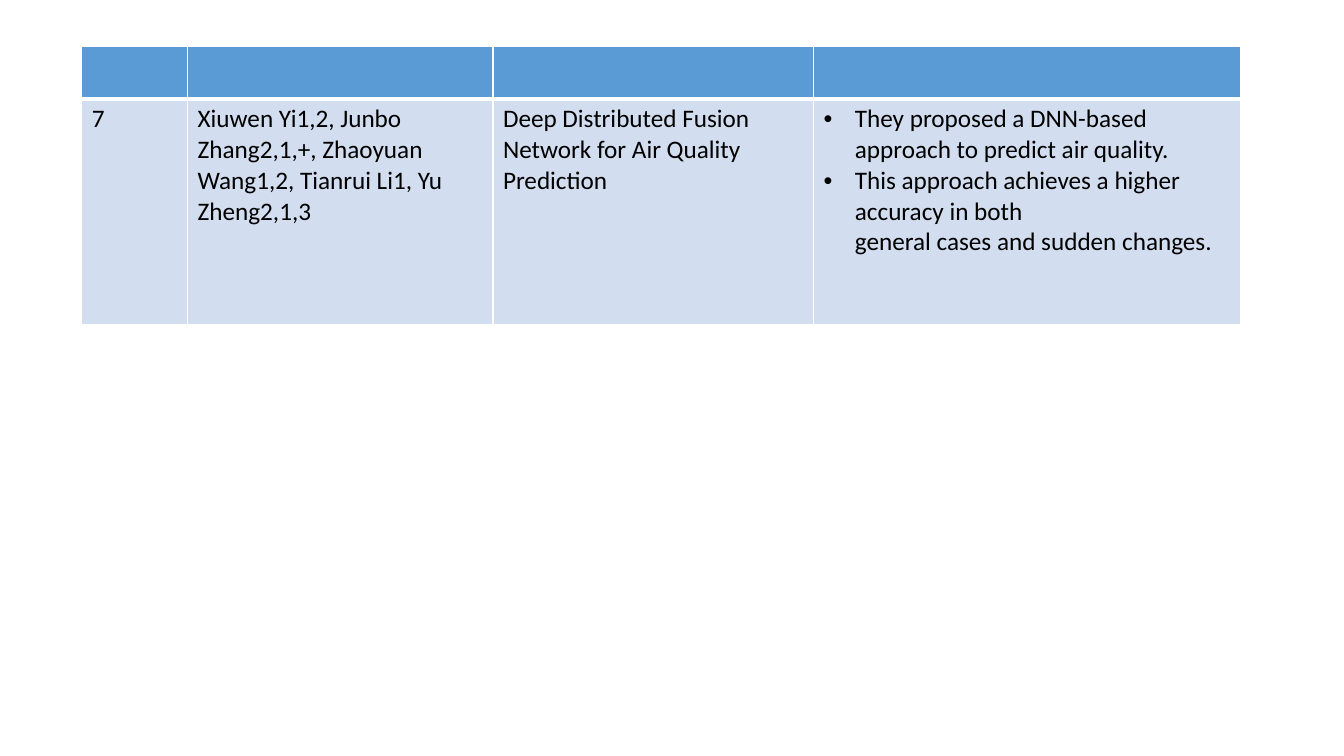
from lxml import etree
from pptx import Presentation
from pptx import util as u
from pptx.dml.color import RGBColor
from pptx.oxml import ns

WHITE = RGBColor(0xFF, 0xFF, 0xFF)
BLACK = RGBColor(0, 0, 0)
HEADER_BLUE = RGBColor(0x5B, 0x9B, 0xD5)
ROW_BLUE = RGBColor(0xD2, 0xDE, 0xEF)

COL_SHARES = (1.05, 3.03, 3.18, 4.24)
HEADER_HEIGHT = u.Cm(1.32)
INDENT = u.Cm(0.79)

# Each cell is a list of paragraphs, each paragraph a list of lines
PAPER = (
    [["7"]],
    [["Xiuwen Yi1,2, Junbo Zhang2,1,+, Zhaoyuan Wang1,2, Tianrui Li1, Yu Zheng2,1,3"]],
    [["Deep Distributed Fusion Network for Air Quality Prediction"]],
    [["They proposed a DNN-based approach to predict air quality."],
     ["This approach achieves a higher accuracy in both",
      "general cases and sudden changes."]],
)


def sub(parent, tag, **attrs):
    return etree.SubElement(parent, ns.qn(tag), **attrs)


def style_cell(cell, color, top, bottom):
    """Fill a cell and draw its white borders, widths in points."""
    tc_pr = cell._tc.get_or_add_tcPr()
    for side, width in (("L", 1), ("R", 1), ("T", top), ("B", bottom)):
        ln = sub(tc_pr, "a:ln" + side, w=str(u.Pt(width)))
        sub(sub(ln, "a:solidFill"), "a:srgbClr", val=str(WHITE))
    cell.fill.solid()
    cell.fill.fore_color.rgb = color


def add_bullet(p):
    p_pr = p._p.get_or_add_pPr()
    p_pr.set("marL", str(INDENT))
    p_pr.set("indent", str(-INDENT))
    sub(p_pr, "a:buFont", typeface="Arial")
    sub(p_pr, "a:buChar", char="\u2022")


def write_cell(cell, paragraphs, bulleted):
    tf = cell.text_frame
    for i, lines in enumerate(paragraphs):
        p = tf.add_paragraph() if i else tf.paragraphs[0]
        if bulleted:
            add_bullet(p)
        for j, line in enumerate(lines):
            if j:
                p.add_line_break()
            r = p.add_run()
            r.text = line
            r.font.name = "Calibri"
            r.font.size = u.Pt(18)
            r.font.color.rgb = BLACK


def add_paper_table(s, left, top, width, height):
    """Literature table: an empty header row above one paper."""
    table = s.shapes.add_table(2, len(COL_SHARES), left, top, width, height).table
    for col, share in zip(table.columns, COL_SHARES):
        col.width = int(width * share / sum(COL_SHARES))
    table.rows[0].height = HEADER_HEIGHT
    table.rows[1].height = height - HEADER_HEIGHT

    last = len(PAPER) - 1
    for c, paragraphs in enumerate(PAPER):
        style_cell(table.cell(0, c), HEADER_BLUE, top=1, bottom=3)
        style_cell(table.cell(1, c), ROW_BLUE, top=3, bottom=1)
        write_cell(table.cell(1, c), paragraphs, bulleted=c == last)


prs = Presentation()
prs.slide_width, prs.slide_height = u.Cm(33.87), u.Cm(19.05)
s = prs.slides.add_slide(prs.slide_layouts[6])
add_paper_table(s, u.Cm(2.06), u.Cm(1.17), u.Cm(29.21), u.Cm(7.01))
prs.save("out.pptx")
